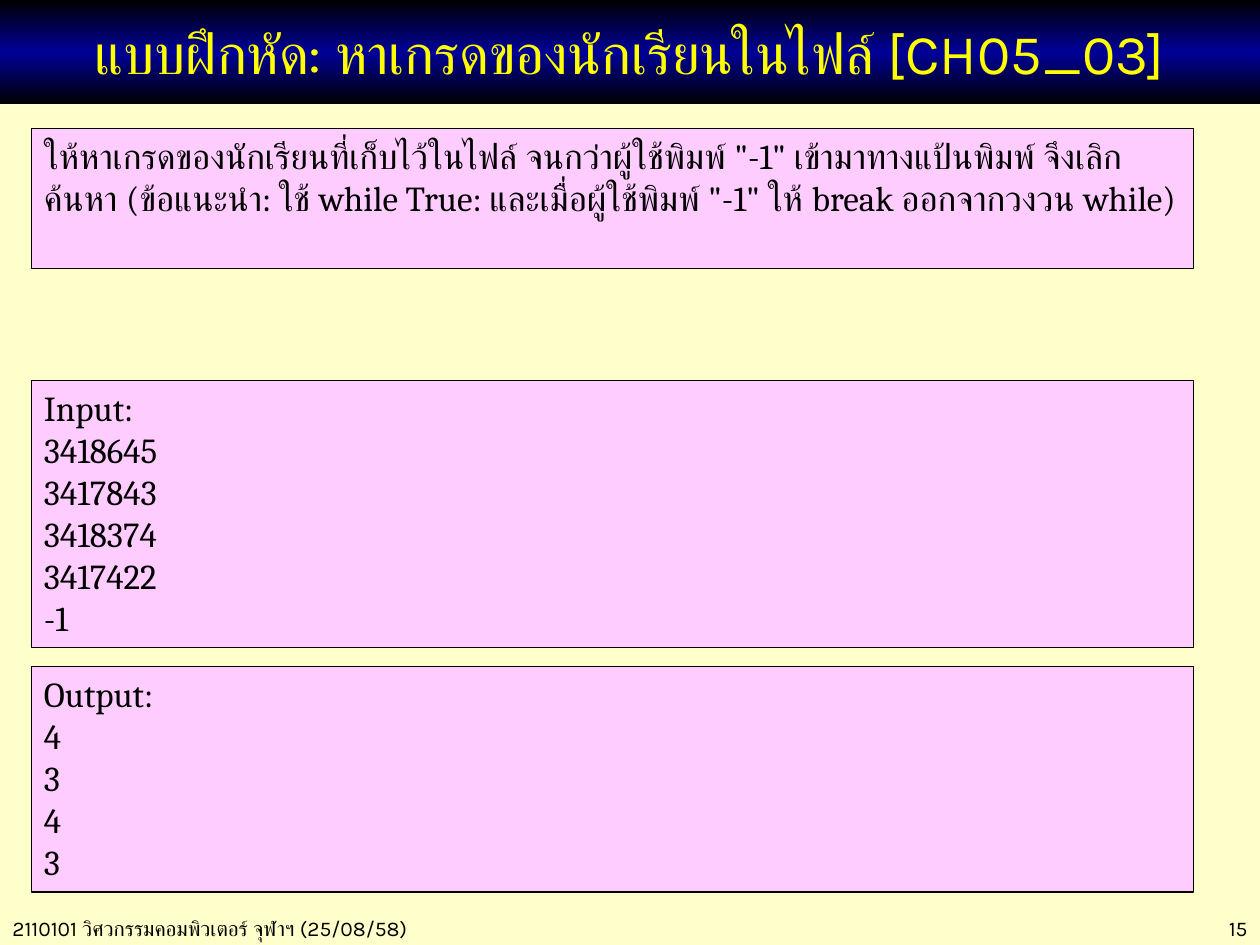
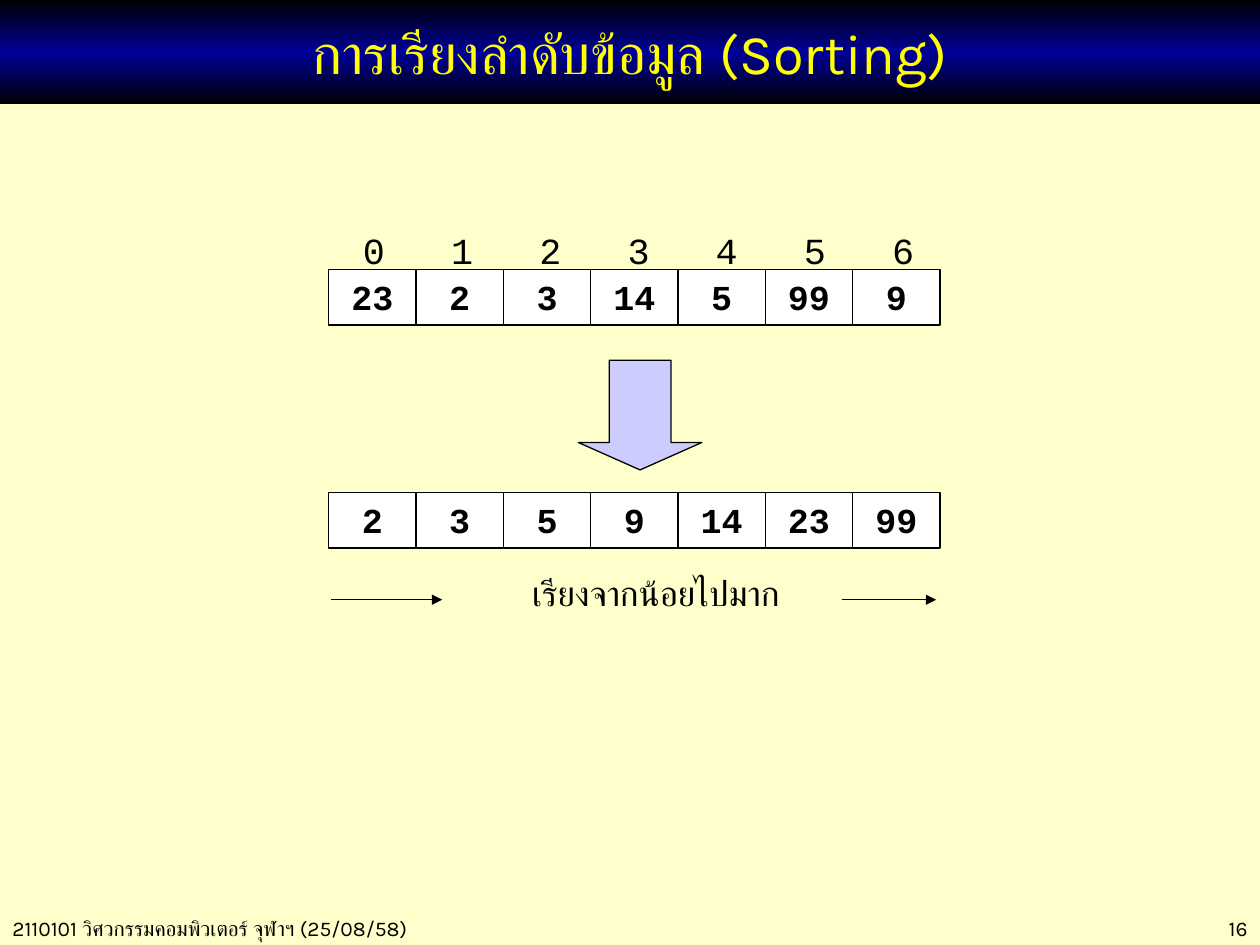
from copy import deepcopy

from lxml.etree import SubElement
from pptx import Presentation
from pptx.dml.color import RGBColor
from pptx.enum.shapes import MSO_CONNECTOR, MSO_SHAPE
from pptx.enum.text import MSO_ANCHOR, PP_ALIGN
from pptx.oxml.ns import qn
from pptx.util import Inches, Pt

BLACK, WHITE, YELLOW, NAVY = "000000", "FFFFFF", "FFFF00", "000099"
CREAM, PINK, LAVENDER = "FFFFCC", "FFCCFF", "CCCCFF"
FOOTER = "2110101 วิศวกรรมคอมพิวเตอร์ จุฬาฯ (25/08/58)"
TITLE_FONT = {"name": "Karla", "size": Pt(32)}
FOOTER_FONT = {"name": "Karla", "size": Pt(12)}
CAPTION_FONT = {"name": "Karla", "size": Pt(20)}
BODY_FONT = {"name": "Cambria", "size": Pt(20)}
INDEX_FONT = {"name": "Courier New", "size": Pt(21)}
CELL_FONT = {"name": "Courier New", "size": Pt(20), "bold": True}


def rgb(value):
    """Turn a hex string into a colour."""
    return RGBColor.from_string(value)


class Deck:
    """Holds the shared style and the current slide."""

    def __init__(self):
        """Start a 10 by 7.5 inch presentation."""
        self.prs = Presentation()
        self.prs.slide_width, self.prs.slide_height = Inches(10), Inches(7.5)
        self.s = None

    def slide(self, title, number):
        """Add a slide with background, footer and title band."""
        self.s = self.prs.slides.add_slide(self.prs.slide_layouts[6])
        fill = self.s.background.fill
        fill.solid()
        fill.fore_color.rgb = rgb(CREAM)
        self.text(0, 7.22, 3.9, 0.3, [FOOTER], FOOTER_FONT)
        self.text(8.62, 7.22, 1.38, 0.3, [str(number)], FOOTER_FONT, PP_ALIGN.RIGHT)
        self.band(title)

    def put_lines(self, sp, lines, font, align=PP_ALIGN.LEFT, color=BLACK, anchor=MSO_ANCHOR.TOP):
        """Put one paragraph per line into a shape."""
        tf = sp.text_frame
        tf.word_wrap = True
        tf.vertical_anchor = anchor
        for i, line in enumerate(lines):
            p = tf.add_paragraph() if i else tf.paragraphs[0]
            p.alignment = align
            r = p.add_run()
            r.text = line
            r.font.color.rgb = rgb(color)
            for key, value in font.items():
                setattr(r.font, key, value)

    def text(self, x, y, w, h, lines, font, align=PP_ALIGN.LEFT):
        """Add a text box."""
        sp = self.s.shapes.add_textbox(Inches(x), Inches(y), Inches(w), Inches(h))
        self.put_lines(sp, lines, font, align)
        return sp

    def shape(self, x, y, w, h, fill, kind=MSO_SHAPE.RECTANGLE):
        """Add a filled preset shape with a thin black outline."""
        sp = self.s.shapes.add_shape(kind, Inches(x), Inches(y), Inches(w), Inches(h))
        sp.shadow.inherit = False
        sp.fill.solid()
        sp.fill.fore_color.rgb = rgb(fill)
        sp.line.color.rgb = rgb(BLACK)
        sp.line.width = Pt(0.75)
        return sp

    def band(self, title):
        """Add the title on a black, navy, black gradient."""
        sp = self.shape(0, 0, 10, 0.83, NAVY)
        sp.line.fill.background()
        sp.fill.gradient()
        sp.fill.gradient_angle = 90
        stops = next(sp._element.iter(qn("a:gsLst")))
        stops.insert(1, deepcopy(stops[0]))
        for stop, color, position in zip(sp.fill.gradient_stops, (BLACK, NAVY, BLACK), (0, 0.5, 1)):
            stop.color.rgb = rgb(color)
            stop.position = position
        self.put_lines(sp, [title], TITLE_FONT, PP_ALIGN.CENTER, YELLOW, MSO_ANCHOR.MIDDLE)

    def panel(self, y, h, lines):
        """Add a pink full-width panel."""
        self.put_lines(self.shape(0.25, y, 9.22, h, PINK), lines, BODY_FONT)

    def indices(self, x, y, count, first, step):
        """Add list indices on evenly spaced centred tab stops."""
        line = "".join(f"\t{i}" for i in range(count))
        sp = self.text(x, y, 4.86, 0.45, [line], INDEX_FONT)
        tabs = SubElement(sp.text_frame.paragraphs[0]._p.get_or_add_pPr(), qn("a:tabLst"))
        for i in range(count):
            SubElement(tabs, qn("a:tab"), pos=str(Inches(first + i * step)), algn="ctr")

    def cells(self, x, y, values):
        """Add a row of touching list cells."""
        pitch = 4.85 / len(values)
        for i, value in enumerate(values):
            sp = self.shape(x + i * pitch, y, pitch, 0.44, WHITE)
            self.put_lines(sp, [str(value)], CELL_FONT, PP_ALIGN.CENTER)

    def arrow(self, x1, x2, y):
        """Add a thin horizontal arrow."""
        c = self.s.shapes.add_connector(
            MSO_CONNECTOR.STRAIGHT, Inches(x1), Inches(y), Inches(x2), Inches(y))
        c.line.color.rgb = rgb(BLACK)
        c.line.width = Pt(0.75)
        props = c._element.spPr
        SubElement(props.find(qn("a:ln")), qn("a:tailEnd"), type="triangle")
        SubElement(props, qn("a:effectLst"))


def main():
    """Build and save both slides."""
    deck = Deck()

    deck.slide("แบบฝึกหัด: หาเกรดของนักเรียนในไฟล์ [CH05_03]", 15)
    deck.panel(1.02, 1.11, [
        'ให้หาเกรดของนักเรียนที่เก็บไว้ในไฟล์ จนกว่าผู้ใช้พิมพ์ "-1" เข้ามาทางแป้นพิมพ์ '
        'จึงเลิกค้นหา (ข้อแนะนำ: ใช้ while True: และเมื่อผู้ใช้พิมพ์ "-1" '
        'ให้ break ออกจากวงวน while)'])
    deck.panel(3.02, 2.12, ["Input:", "3418645", "3417843", "3418374", "3417422", "-1"])
    deck.panel(5.29, 1.79, ["Output:", "4", "3", "4", "3"])

    deck.slide("การเรียงลำดับข้อมูล (Sorting)", 16)
    numbers = [23, 2, 3, 14, 5, 99, 9]
    left = 2.61
    deck.indices(left, 1.76, len(numbers), 0.26, 0.7)
    deck.cells(left, 2.14, numbers)
    deck.cells(left, 3.91, sorted(numbers))
    down = deck.shape(4.59, 2.86, 0.98, 0.87, LAVENDER, MSO_SHAPE.DOWN_ARROW)
    down.adjustments[0], down.adjustments[1] = 0.5, 0.25
    deck.text(3.97, 4.49, 2.47, 0.44, ["เรียงจากน้อยไปมาก"], CAPTION_FONT, PP_ALIGN.CENTER)
    for x1, x2 in ((6.68, 7.43), (2.63, 3.51)):
        deck.arrow(x1, x2, 4.76)

    deck.prs.save("out.pptx")


if __name__ == "__main__":
    main()
